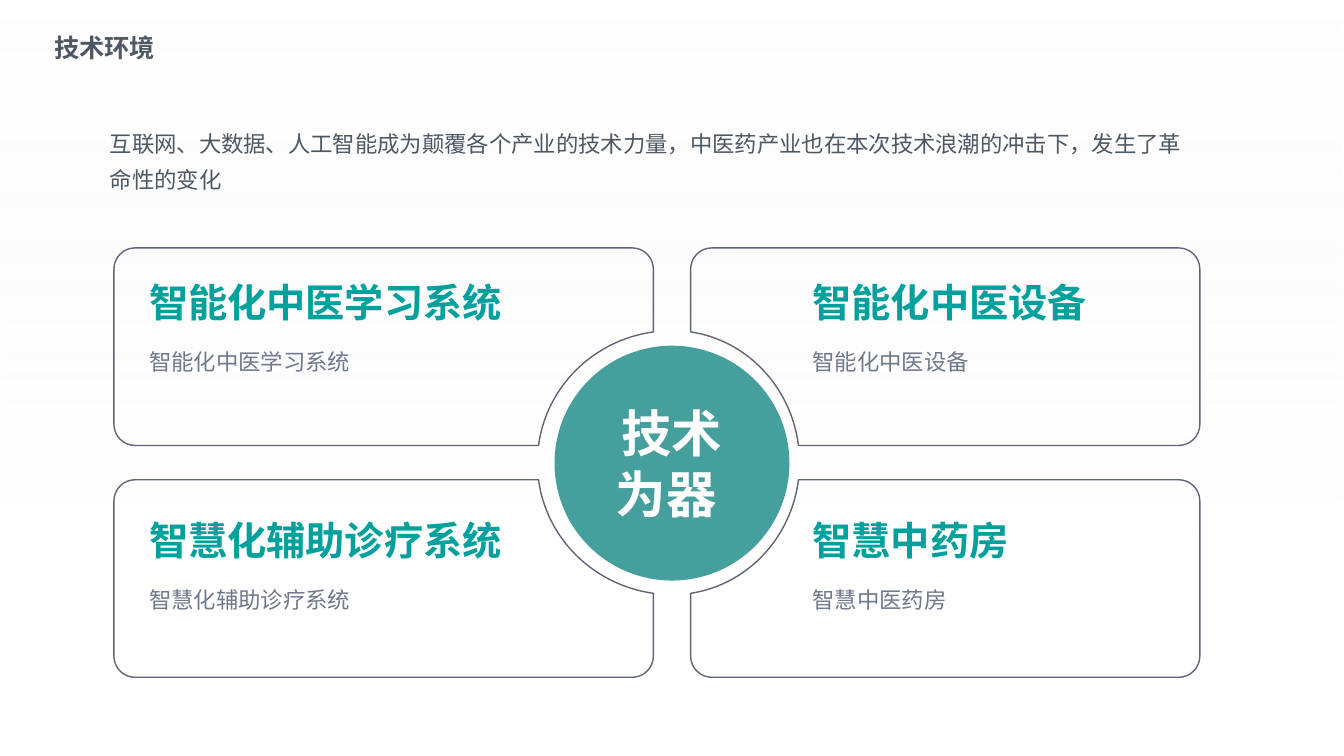
import math

import lxml.etree
import pptx
import pptx.dml.color
import pptx.enum.shapes
import pptx.enum.text
import pptx.oxml.ns
import pptx.util

Inches = pptx.util.Inches
Pt = pptx.util.Pt
Align = pptx.enum.text.PP_ALIGN
Fit = pptx.enum.text.MSO_AUTO_SIZE
Shape = pptx.enum.shapes.MSO_SHAPE
qn = pptx.oxml.ns.qn

NOTO = "Noto Sans CJK SC"
MID_X, MID_Y = 6.67, 4.59
NEAR, FAR = 0.17, 2.13
RING, ROUND = 1.31, 0.21

HEAD = {"size": Pt(28), "bold": True, "name": NOTO}
NOTE = {"size": Pt(16), "name": NOTO}
HUB = {"size": Pt(36), "bold": True, "name": NOTO}
TITLE = {"size": Pt(18), "bold": True, "name": "Arial"}
PAD = ("margin_left", "margin_top", "margin_right", "margin_bottom")

# side, inner edge, outer edge and ring width, measured from the centre
SIDES = [(-1, 0.19, 5.54, 1.34), (1, 0.18, 5.23, 1.26)]
CARDS = [
    (1.48, 2.76, 4.54, "智能化中医学习系统", "智能化中医学习系统"),
    (8.06, 2.76, 3, "智能化中医设备", "智能化中医设备"),
    (1.48, 5.12, 3.55, "智慧化辅助诊疗系统", "智慧化辅助诊疗系统"),
    (8.06, 5.12, 2.04, "智慧中药房", "智慧中医药房"),
]


def paint(code):
    return pptx.dml.color.RGBColor.from_string(code)


def add_text(slide, box, lines, style, color, align=None, space=None,
             inset=True, wrap=True):
    frame = slide.shapes.add_textbox(*map(Inches, box)).text_frame
    frame.word_wrap = wrap
    frame.auto_size = Fit.SHAPE_TO_FIT_TEXT
    if not inset:
        for side in PAD:
            setattr(frame, side, 0)
    for num, line in enumerate(lines):
        para = frame.add_paragraph() if num else frame.paragraphs[0]
        para.alignment = align
        para.line_spacing = space
        run = para.add_run()
        run.text = line
        for key, value in style.items():
            setattr(run.font, key, value)
        run.font.color.rgb = paint(color)
        east = lxml.etree.SubElement(run.font._element, qn("a:ea"))
        east.set("typeface", NOTO)


def add_shade(slide, width, height):
    """Put a faint, see-through gradient on the slide master."""
    shade = slide.shapes.add_shape(Shape.RECTANGLE, 0, 0, width, height)
    shade.shadow.inherit = False
    shade.line.fill.background()
    shade.fill.gradient()
    shade.fill.gradient_angle = 270
    looks = [("FFFFFF", 0, 55000), ("F2F2F2", 0.71, 0)]
    for stop, (color, place, alpha) in zip(shade.fill.gradient_stops, looks):
        stop.color.rgb = paint(color)
        stop.position = place
        tint = stop._gs.find(qn("a:srgbClr"))
        lxml.etree.SubElement(tint, qn("a:alpha")).set("val", str(alpha))
    master = slide.slide_layout.slide_master
    master.shapes._spTree.insert(2, shade._element)


def add_disc(slide, left, top, width):
    disc = slide.shapes.add_shape(
        Shape.OVAL, *map(Inches, (left, top, width, width)))
    disc.shadow.inherit = False
    disc.fill.solid()
    disc.fill.fore_color.rgb = paint("459F9C")
    disc.line.fill.background()


def arc(x, y, wide, high, start, end):
    """Give the four Bezier points of an elliptic arc."""
    pull = 4 / 3 * math.tan((end - start) / 4)
    c1, s1, c2, s2 = (math.cos(start), math.sin(start),
                      math.cos(end), math.sin(end))
    dots = [(c1, s1), (c1 - pull * s1, s1 + pull * c1),
            (c2 + pull * s2, s2 - pull * c2), (c2, s2)]
    return [(x + wide * a, y + high * b) for a, b in dots]


def bend(shape):
    """Turn each group of three lines after a corner point into a curve."""
    track = next(shape._element.iter(qn("a:path")))
    steps = list(track)
    for num in range(0, len(steps) - 1, 4):
        curve = lxml.etree.Element(qn("a:cubicBezTo"))
        steps[num].addnext(curve)
        for line in steps[num + 1:num + 4]:
            curve.append(line[0])
            track.remove(line)


def add_panel(slide, side, rise, inner, outer, wide):
    """Draw one rounded panel, cut by the ring round the centre."""
    right = math.pi / 2
    dots = arc(0, 0, wide, RING, math.asin(NEAR / RING),
               math.acos(inner / wide))
    turns = [(inner + ROUND, FAR - ROUND, 2 * right),
             (outer - ROUND, FAR - ROUND, right),
             (outer - ROUND, NEAR + ROUND, 0)]
    for x, y, start in turns:
        dots += arc(x, y, ROUND, ROUND, start, start - right)
    spots = [(Inches(MID_X + side * x), Inches(MID_Y + rise * y))
             for x, y in dots]
    pen = slide.shapes.build_freeform(*spots[0])
    pen.add_line_segments(spots[1:], close=True)
    panel = pen.convert_to_shape()
    bend(panel)
    panel.shadow.inherit = False
    panel.fill.background()
    panel.line.color.rgb = paint("5E6576")
    panel.line.width = Pt(1)


def add_card(slide, left, top, width, head, note):
    add_text(slide, (left, top + 0.68, 3.62, 0.26), [note], NOTE, "6F788C",
             Align.JUSTIFY, Pt(20), inset=False)
    add_text(slide, (left, top, width, 0.47), [head], HEAD, "00A09D",
             inset=False)


def main():
    deck = pptx.Presentation()
    deck.slide_width, deck.slide_height = Inches(13.33), Inches(7.5)
    slide = deck.slides.add_slide(deck.slide_layouts[6])
    add_shade(slide, deck.slide_width, deck.slide_height)
    add_disc(slide, 5.5, 3.43, 2.33)
    add_text(slide, (6.03, 3.99, 1.27, 1.21), ["技术", "为器 "], HUB,
             "FFFFFF", Align.CENTER, inset=False)
    for rise in (-1, 1):
        for side, inner, outer, wide in SIDES:
            add_panel(slide, side, rise, inner, outer, wide)
    for card in CARDS:
        add_card(slide, *card)
    lead = ("互联网、大数据、人工智能成为颠覆各个产业的技术力量，"
            "中医药产业也在本次技术浪潮的冲击下，发生了革命性的变化")
    add_text(slide, (0.99, 1.14, 10.91, 0.79), [lead], NOTE, "4E5865",
             space=Pt(26.2))
    add_text(slide, (0.44, 0.27, 1.21, 0.4), ["技术环境"], TITLE, "4E5865",
             wrap=False)
    deck.save("out.pptx")


if __name__ == "__main__":
    main()
